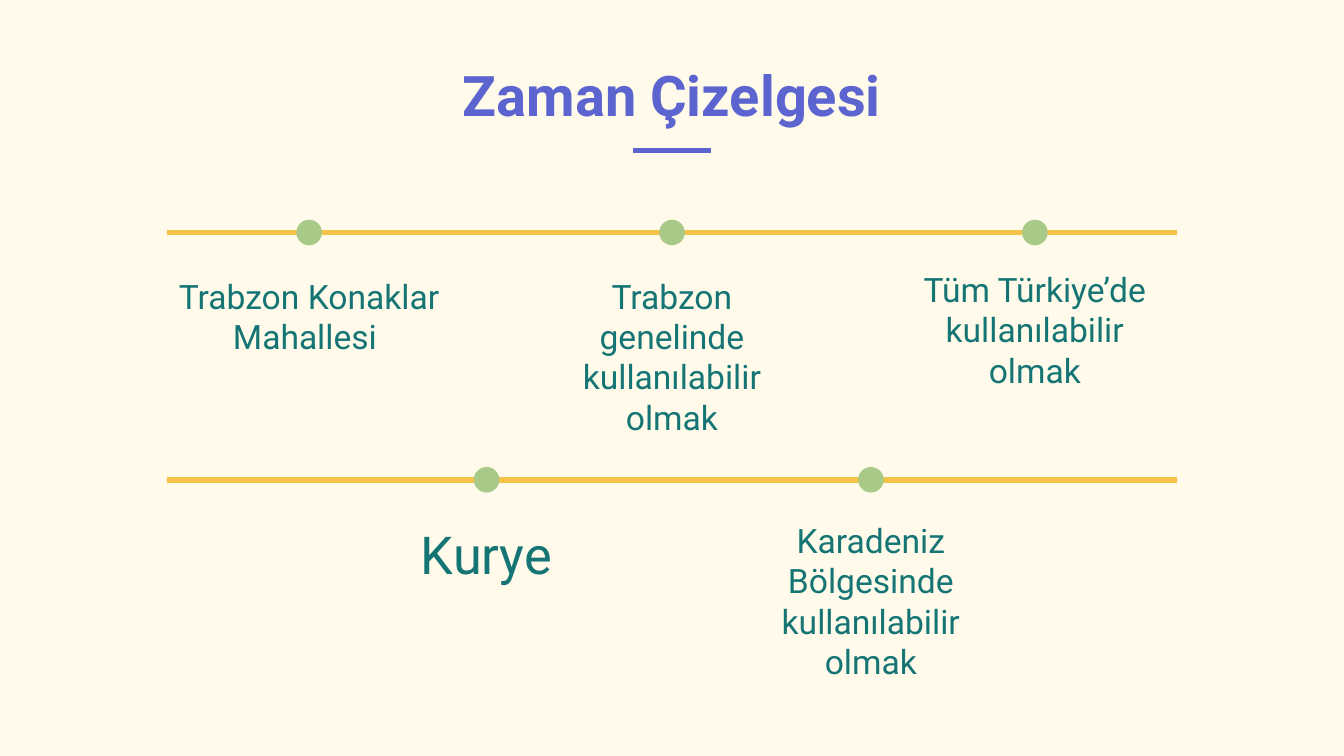
from lxml import etree
from pptx import Presentation
from pptx.dml.color import RGBColor
from pptx.enum.shapes import MSO_CONNECTOR, MSO_SHAPE
from pptx.enum.text import MSO_ANCHOR, PP_ALIGN
from pptx.oxml.ns import qn
from pptx.util import Inches, Pt

STRAIGHT = MSO_CONNECTOR.STRAIGHT
OVAL = MSO_SHAPE.OVAL
TOP, BOTTOM = MSO_ANCHOR.TOP, MSO_ANCHOR.BOTTOM
CENTER = PP_ALIGN.CENTER

FONT = "Roboto"
CREAM, VIOLET, TEAL = "FFFAEA", "5C65CF", "157575"
YELLOW, GREEN = "F3C347", "A8C987"
WIDTH = 10
HEIGHT = WIDTH * 9 / 16
MID_X = WIDTH / 2
DOT = 0.19


def rgb(value):
    return RGBColor.from_string(value)


class Deck:
    """Holds the style and the current slide."""

    def __init__(self, prs):
        self.s = prs.slides.add_slide(prs.slide_layouts[6])
        fill = self.s.background.fill
        fill.solid()
        fill.fore_color.rgb = rgb(CREAM)

    def line(self, x1, x2, y, color):
        sp = self.s.shapes.add_connector(
            STRAIGHT, Inches(x1), Inches(y), Inches(x2), Inches(y))
        sp.line.color.rgb = rgb(color)
        sp.line.width = Pt(3)
        etree.SubElement(sp._element.spPr, qn("a:effectLst"))

    def dot(self, x, y):
        sp = self.s.shapes.add_shape(
            OVAL, Inches(x - DOT / 2), Inches(y - DOT / 2), Inches(DOT), Inches(DOT))
        sp.shadow.inherit = False
        sp.fill.solid()
        sp.fill.fore_color.rgb = rgb(GREEN)
        sp.line.fill.background()

    def text(self, text, x, y, w, h, size=18, color=TEAL, bold=False, anchor=TOP):
        """Add centred text in a box whose middle is at x."""
        sp = self.s.shapes.add_textbox(
            Inches(x - w / 2), Inches(y), Inches(w), Inches(h))
        tf = sp.text_frame
        tf.word_wrap = True
        tf.vertical_anchor = anchor
        tf.margin_left = tf.margin_right = Inches(0.1)
        tf.margin_top = tf.margin_bottom = Inches(0.1)
        p = tf.paragraphs[0]
        p.text = text
        p.alignment = CENTER
        p.font.name = FONT
        p.font.size = Pt(size)
        p.font.bold = bold
        p.font.color.rgb = rgb(color)


def main():
    prs = Presentation()
    prs.slide_width, prs.slide_height = Inches(WIDTH), Inches(HEIGHT)
    deck = Deck(prs)

    # Title with its underline
    deck.line(MID_X - 0.29, MID_X + 0.29, 1.12, VIOLET)
    deck.text("Zaman Çizelgesi", MID_X, 0.22, 8.44, 0.83,
              size=30, color=VIOLET, bold=True, anchor=BOTTOM)

    # Timelines: line height, then steps as (x, top, width, height, text, style)
    timelines = [
        (1.73, [
            (2.3, 1.95, 2.22, 0.94, "Trabzon Konaklar Mahallesi ", {}),
            (5, 1.95, 2.04, 0.73, "Trabzon genelinde kullanılabilir olmak", {}),
            (7.7, 1.9, 2.04, 0.85, "Tüm Türkiye’de kullanılabilir olmak", {}),
        ]),
        (3.57, [
            (3.62, 3.72, 2.04, 0.73, "Kurye", {"size": 28, "anchor": BOTTOM}),
            (6.48, 3.77, 2.04, 0.73,
             "Karadeniz Bölgesinde kullanılabilir olmak", {}),
        ]),
    ]
    for line_y, steps in timelines:
        deck.line(MID_X - 3.76, MID_X + 3.76, line_y, YELLOW)
        for x, top, w, h, label, style in steps:
            deck.dot(x, line_y)
            deck.text(label, x, top, w, h, **style)

    prs.save("out.pptx")


if __name__ == "__main__":
    main()
